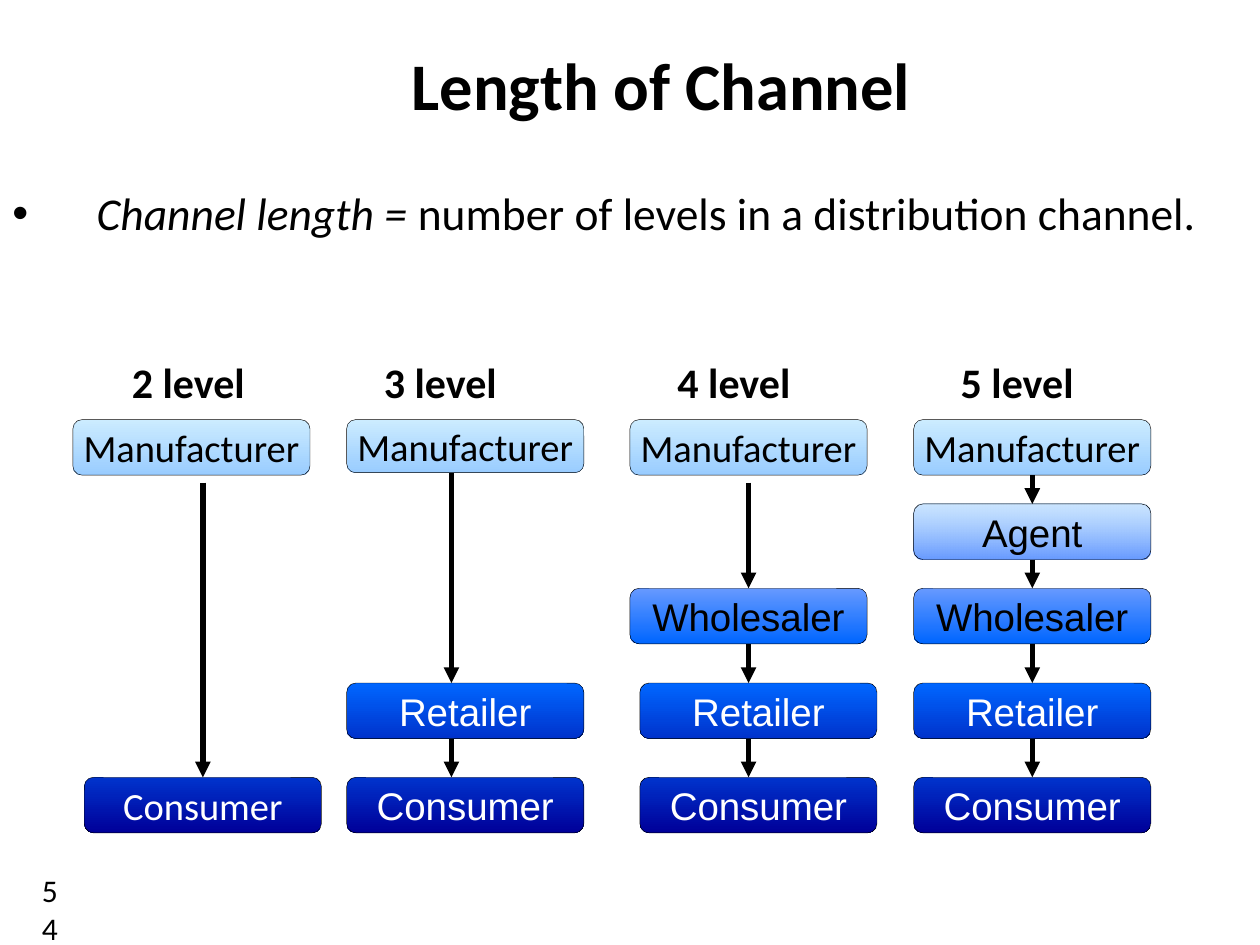
from lxml import etree
from pptx import Presentation
from pptx import util as u
from pptx.dml.color import RGBColor
from pptx.enum import shapes, text
from pptx.oxml.ns import qn

BLACK = RGBColor(0, 0, 0)
WHITE = RGBColor(255, 255, 255)
ICE = RGBColor(0xCC, 0xEC, 0xFF)
SKY = RGBColor(0x99, 0xCC, 0xFF)
SOFT = RGBColor(0x66, 0x99, 0xFF)
BLUE = RGBColor(0, 0x66, 0xFF)
DEEP = RGBColor(0, 0x33, 0xCC)
NAVY = RGBColor(0, 0, 0x99)

# role: top (cm), gradient start, gradient end, text colour
ROLES = {
    "Manufacturer": (8.46, ICE, SKY, BLACK),
    "Agent": (10.16, SKY, SOFT, BLACK),
    "Wholesaler": (11.86, SOFT, BLUE, BLACK),
    "Retailer": (13.77, BLUE, DEEP, WHITE),
    "Consumer": (15.67, DEEP, NAVY, WHITE),
}
WIDE, HIGH = 4.78, 1.12
MID = WIDE / 2

# label left, arrow x, gap above the first arrow, role: left of its box
CHAINS = [
    (2.34, 1.7 + MID, 0.15, {"Manufacturer": 1.47, "Consumer": 1.7}),
    (7.42, 9.1, 0, dict.fromkeys(("Manufacturer", "Retailer", "Consumer"), 6.99)),
    (13.34, 12.7 + MID, 0.15, {"Manufacturer": 12.7, "Wholesaler": 12.7,
                               "Retailer": 12.9, "Consumer": 12.9}),
    (19.05, 18.42 + MID, 0, dict.fromkeys(ROLES, 18.42)),
]


def cm(*sizes):
    return [u.Cm(size) for size in sizes]


def style(item, **values):
    for key, value in values.items():
        setattr(item, key, value)


def write(para, words, size, color=BLACK, **font):
    run = para.add_run()
    run.text = words
    run.font.color.rgb = color
    style(run.font, **{"size": u.Pt(size), "name": "Calibri", **font})


def shape(slide, kind, *place):
    """Add a bare shape with left-aligned text at its top."""
    item = slide.shapes.add_shape(kind, *cm(*place))
    item.shadow.inherit = False
    item.fill.background()
    item.line.fill.background()
    item.text_frame.vertical_anchor = text.MSO_ANCHOR.TOP
    para = item.text_frame.paragraphs[0]
    para.alignment = text.PP_ALIGN.LEFT
    return item, para


def block(slide, *place):
    """Add a wrapping text box and return its paragraph."""
    frame = slide.shapes.add_textbox(*cm(*place)).text_frame
    frame.word_wrap = True
    return frame.paragraphs[0]


def bullet(para):
    props = para._p.get_or_add_pPr()
    style_x = u.Cm(1.7)
    props.set("marL", str(style_x))
    props.set("indent", str(-style_x))
    etree.SubElement(props, qn("a:buFont")).set("typeface", "Arial")
    etree.SubElement(props, qn("a:buChar")).set("char", "•")


def box(slide, role, left, high, face):
    top, start, end, ink = ROLES[role]
    item, para = shape(slide, shapes.MSO_SHAPE.ROUNDED_RECTANGLE,
                       left, top, WIDE, high)
    item.fill.gradient()
    item.fill.gradient_angle = 270
    for stop, color in zip(item.fill.gradient_stops, (start, end)):
        stop.color.rgb = color
    if role == "Agent":
        first = next(item._element.iter(qn("a:srgbClr")))
        etree.SubElement(first, qn("a:alpha")).set("val", "50000")
    item.line.color.rgb = BLACK
    item.line.width = u.Pt(0.25)
    style(item.text_frame, word_wrap=False,
          vertical_anchor=text.MSO_ANCHOR.MIDDLE)
    para.alignment = text.PP_ALIGN.CENTER
    write(para, role, 22, ink, name=face)
    return item


def arrow(slide, x, upper, lower, gap):
    """Point from one box down to the next, joined where x is its centre."""
    x, gap = cm(x, gap)
    line = slide.shapes.add_connector(
        shapes.MSO_CONNECTOR.STRAIGHT, x, upper.top + upper.height + gap,
        x, lower.top)
    line.line.color.rgb = BLACK
    line.line.width = u.Pt(3)
    etree.SubElement(line.line._get_or_add_ln(),
                     qn("a:tailEnd")).set("type", "triangle")
    etree.SubElement(line._element.spPr, qn("a:effectLst"))

    def centred(item):
        return abs(item.left + item.width // 2 - x) < u.Cm(0.01)

    if centred(upper) and not gap:
        line.begin_connect(upper, 2)
    if centred(lower):
        line.end_connect(lower, 0)


def chain(slide, count, x, gap, lefts):
    boxes = []
    for role, left in lefts.items():
        plain = role == "Manufacturer" or count == 2
        high = 1.07 if role == "Manufacturer" and count == 3 else HIGH
        boxes.append(box(slide, role, left, high,
                         "Calibri" if plain else "Arial"))
    for upper, lower in zip(boxes, boxes[1:]):
        arrow(slide, x, upper, lower, gap if upper is boxes[0] else 0)


def label(slide, count, left):
    item, para = shape(slide, shapes.MSO_SHAPE.ROUNDED_RECTANGLE,
                       left, 6.99, 3.23, 1.4)
    item.text_frame.word_wrap = False
    write(para, f"{count} level", 24, bold=True)


def main():
    deck = Presentation()
    style(deck, slide_width=u.Cm(25.4), slide_height=u.Cm(19.05))
    slide = deck.slides.add_slide(deck.slide_layouts[6])

    title = block(slide, 2.54, 0.76, 21.59, 3.18)
    title.alignment = text.PP_ALIGN.CENTER
    write(title, "Length of Channel", 38, bold=True)

    body = block(slide, 0, 3.61, 25.4, 14.17)
    bullet(body)
    write(body, "Channel length = ", 26, italic=True)
    write(body, "number of levels in a distribution channel.", 26)

    _, page = shape(slide, shapes.MSO_SHAPE.OVAL, 0.41, 17.25, 1.27, 1.27)
    write(page, "54", 18)

    for count, (left, x, gap, lefts) in enumerate(CHAINS, 2):
        chain(slide, count, x, gap, lefts)
        label(slide, count, left)

    deck.save("out.pptx")


if __name__ == "__main__":
    main()
